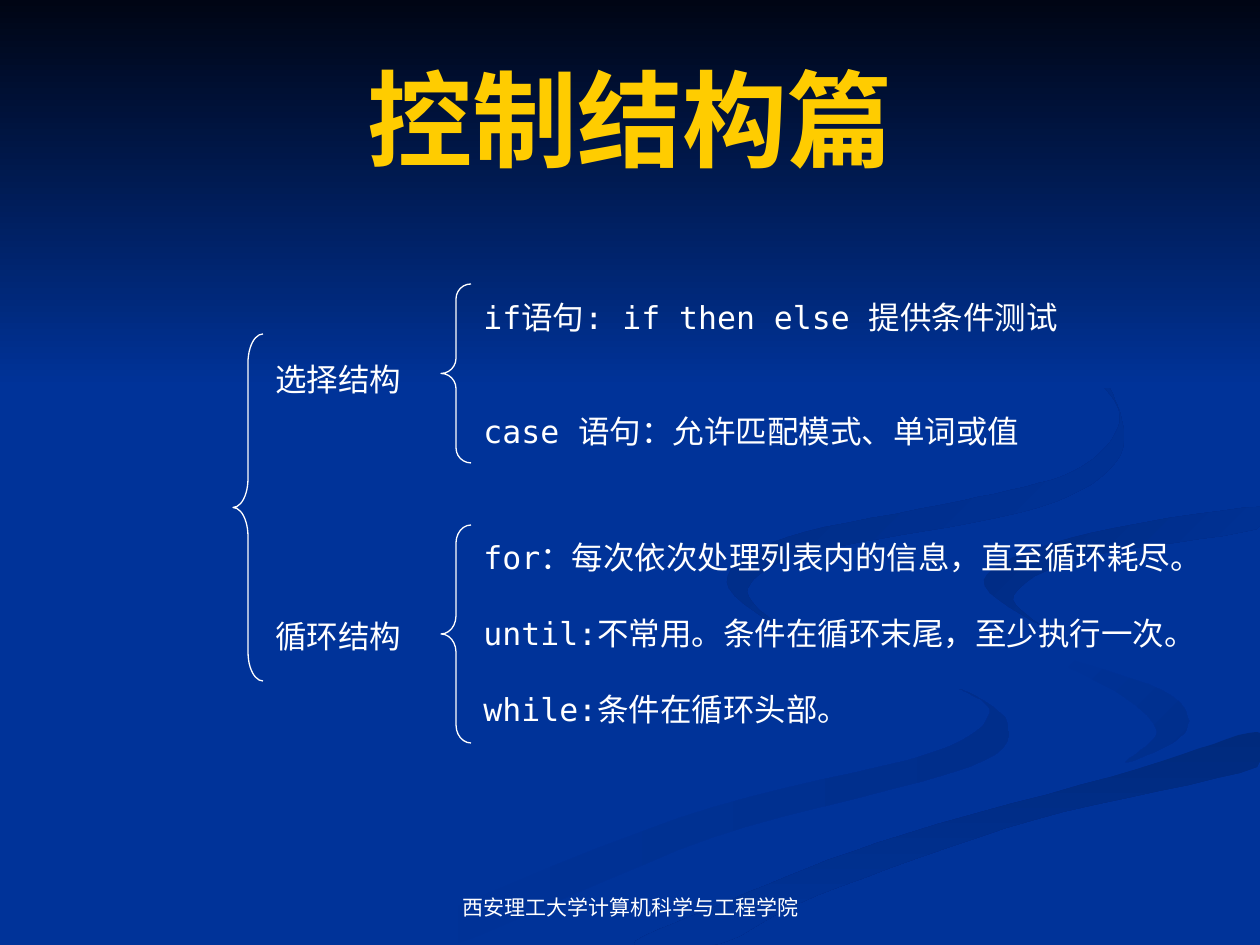
from dataclasses import dataclass

from pptx import Presentation
from pptx import util as u
from pptx.dml.color import RGBColor
from pptx.enum import shapes, text

PX = 914400 / 126
WIDTH, HEIGHT = 1260, 945


@dataclass(frozen=True)
class Theme:
    blue: str = "003399"
    shade: str = "002B82"
    night: str = "000514"
    gold: str = "FFCC00"
    white: str = "FFFFFF"
    title_size: int = 60
    body_size: int = 18
    footer_size: int = 12
    serif: str = "Times New Roman"
    sans: str = "Arial"
    mono: str = "DejaVu Sans Mono"
    chinese: str = "Noto Sans CJK SC"
    line: int = 38


THEME = Theme()

# Background ribbons: knots of the outline, first colour, last colour, angle
RIBBONS = [
    ([(601, 944), (835, 842), (1137, 760), (1188, 718), (1047, 654),
      (914, 585), (1018, 525), (1259, 488), (1259, 507), (1022, 551),
      (990, 596), (1259, 678), (1259, 732), (877, 843)],
     THEME.blue, None, 0),
    ([(960, 689), (990, 713), (931, 753), (679, 818), (378, 944),
      (455, 944), (711, 838), (969, 767), (1007, 722)],
     THEME.blue, "002E8B", 0),
    ([(1046, 654), (1159, 689), (1188, 718), (1174, 742), (1126, 762),
      (1157, 732), (1124, 697)], THEME.blue, "002E8B", 45),
    ([(634, 944), (717, 906), (877, 843), (1138, 769), (1257, 732),
      (1257, 767), (1034, 820), (818, 895), (719, 944)],
     "002A7D", THEME.blue, 90),
    ([(984, 580), (1041, 625), (1014, 595), (1082, 558), (1257, 529),
      (1257, 507), (1071, 538)], THEME.shade, THEME.blue, 45),
    ([(861, 542), (1040, 507), (1120, 456), (1109, 387), (1062, 347),
      (1096, 377), (1120, 422), (1074, 471), (961, 501), (788, 537),
      (727, 582), (784, 630), (747, 592), (786, 559)],
     THEME.shade, THEME.blue, 45),
]

# Braces: top, height, curl, left
BRACES = [(334, 347, 0.96, 233), (284, 179, 0.5, 441), (525, 218, 0.6, 441)]

SELECTION = [
    [("if", THEME.mono), ("语句", THEME.serif),
     (": if then else ", THEME.mono), ("提供条件测试", THEME.serif)],
    [("case ", THEME.mono), ("语句：允许匹配模式、单词或值", THEME.serif)],
]
LOOPS = [
    [("for：", THEME.mono),
     ("每次依次处理列表内的信息，直至循环耗尽。", THEME.chinese)],
    [("until:", THEME.mono),
     ("不常用。条件在循环末尾，至少执行一次。", THEME.chinese)],
    [("while:", THEME.mono), ("条件在循环头部。", THEME.chinese)],
]


def px(*values):
    return [u.Emu(round(value * PX)) for value in values]


def smooth_outline(knots, steps=8):
    """Closed Catmull-Rom curve through the knots, kept on the slide."""
    def blend(a, b, c, d, t):
        return b + t / 2 * (c - a + t * (2 * a - 5 * b + 4 * c - d
                                         + t * (3 * (b - c) + d - a)))

    count = len(knots)
    points = []
    for index in range(count):
        near = [knots[(index + shift) % count] for shift in (-1, 0, 1, 2)]
        for step in range(steps):
            x, y = (blend(*axis, step / steps) for axis in zip(*near))
            points.append((min(x, WIDTH), min(y, HEIGHT)))
    return points


def paint(shape, first, last=None, angle=0):
    """Fill with one colour, or with a gradient when a last colour is given."""
    shape.shadow.inherit = False
    shape.line.fill.background()
    if last is None:
        shape.fill.solid()
        shape.fill.fore_color.rgb = RGBColor.from_string(first)
        return
    shape.fill.gradient()
    shape.fill.gradient_angle = (360 - angle) % 360
    for stop, color in zip(shape.fill.gradient_stops, (first, last)):
        stop.color.rgb = RGBColor.from_string(color)


def add_ribbon(slide, knots, first, last, angle):
    points = smooth_outline(knots)
    builder = slide.shapes.build_freeform(*points[0], scale=PX)
    builder.add_line_segments(points[1:], close=True)
    paint(builder.convert_to_shape(), first, last, angle)


def add_brace(slide, top, height, curl, left):
    brace = slide.shapes.add_shape(shapes.MSO_SHAPE.LEFT_BRACE,
                                   *px(left, top, 30, height))
    brace.shadow.inherit = False
    brace.fill.background()
    brace.line.color.rgb = RGBColor.from_string(THEME.white)
    brace.line.width = u.Pt(0.75)
    brace.adjustments[0] = curl


def add_frame(slide, box, anchor=text.MSO_ANCHOR.TOP):
    frame = slide.shapes.add_textbox(*px(*box)).text_frame
    frame.word_wrap = True
    frame.vertical_anchor = anchor
    return frame


def style(font, name, size, color=THEME.white, bold=False):
    font.name, font.size, font.bold = name, u.Pt(size), bold
    font.color.rgb = RGBColor.from_string(color)


def add_label(slide, box, words, name, size, color=THEME.white, bold=False,
              align=text.PP_ALIGN.CENTER, anchor=text.MSO_ANCHOR.MIDDLE):
    paragraph = add_frame(slide, box, anchor).paragraphs[0]
    paragraph.text = words
    paragraph.alignment = align
    style(paragraph.font, name, size, color, bold)


def add_statements(slide, box, statements, gap_lines):
    frame = add_frame(slide, box)
    for index, runs in enumerate(statements):
        paragraph = frame.add_paragraph() if index else frame.paragraphs[0]
        paragraph.line_spacing = px(THEME.line)[0]
        if index:
            paragraph.space_before = px(THEME.line * gap_lines)[0]
        for words, name in runs:
            run = paragraph.add_run()
            run.text = words
            style(run.font, name, THEME.body_size)


def main():
    presentation = Presentation()
    presentation.slide_width, presentation.slide_height = px(WIDTH, HEIGHT)
    slide = presentation.slides.add_slide(presentation.slide_layouts[6])

    # Background
    slide.background.fill.solid()
    slide.background.fill.fore_color.rgb = RGBColor.from_string(THEME.blue)
    for ribbon in RIBBONS:
        add_ribbon(slide, *ribbon)
    sky = slide.shapes.add_shape(shapes.MSO_SHAPE.RECTANGLE,
                                 *px(0, 0, WIDTH, 388))
    paint(sky, THEME.night, THEME.blue, 90)

    # Footer and title
    add_label(slide, (431, 861, 399, 65), "西安理工大学计算机科学与工程学院",
              THEME.sans, THEME.footer_size, anchor=text.MSO_ANCHOR.BOTTOM)
    add_label(slide, (63, 38, 1134, 158), "控制结构篇", THEME.serif,
              THEME.title_size, THEME.gold, bold=True)

    # Tree of control structures
    for brace in BRACES:
        add_brace(slide, *brace)
    for top, words in ((354, "选择结构"), (611, "循环结构")):
        add_label(slide, (263, top, 151, 50), words, THEME.serif,
                  THEME.body_size, align=text.PP_ALIGN.LEFT)
    add_statements(slide, (471, 292, 625, 164), SELECTION, 2)
    add_statements(slide, (471, 532, 735, 278), LOOPS, 1)

    presentation.save("out.pptx")


if __name__ == "__main__":
    main()
